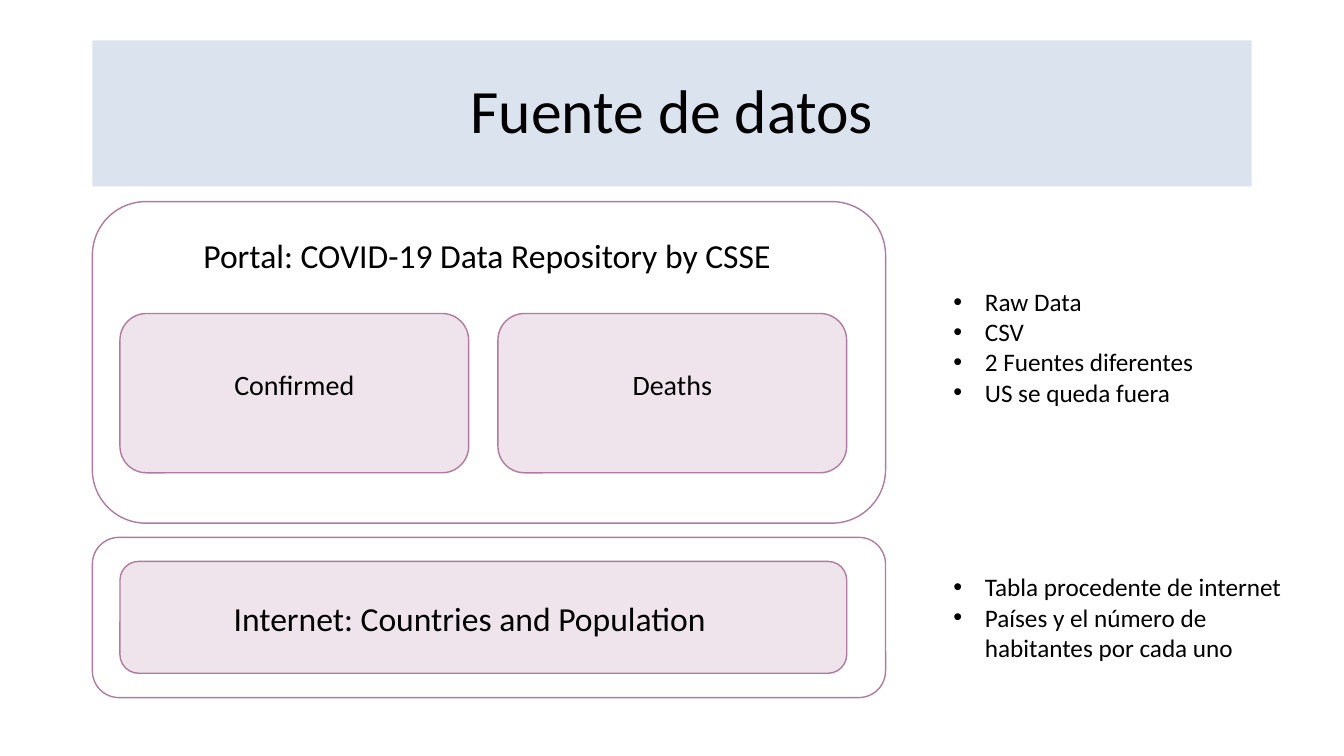
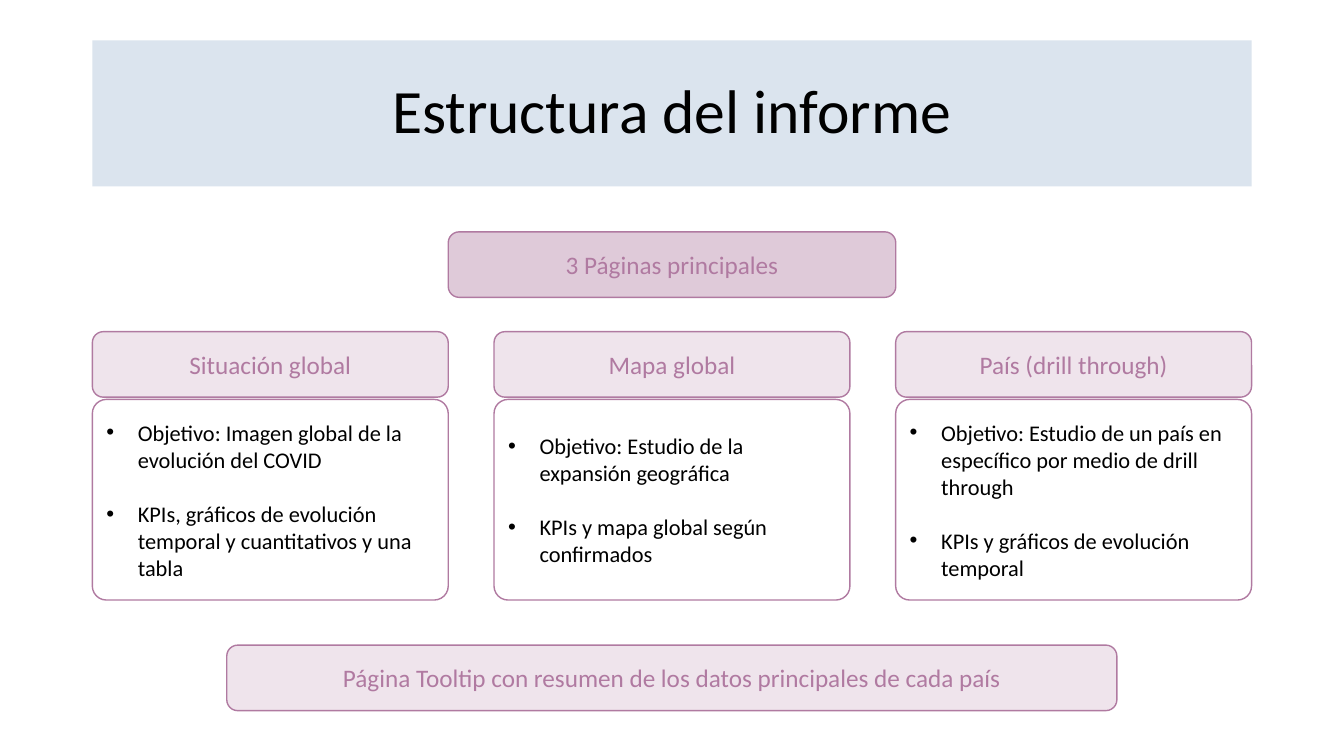
"""Build two slides on the data sources and the structure of a report."""
from dataclasses import dataclass

from lxml import etree
from pptx import Presentation
from pptx.dml.color import RGBColor
from pptx.enum.shapes import MSO_SHAPE
from pptx.enum.text import MSO_ANCHOR, MSO_AUTO_SIZE, PP_ALIGN
from pptx.oxml.ns import qn
from pptx.util import Pt

ROUNDED = MSO_SHAPE.ROUNDED_RECTANGLE
CENTER, LEFT = PP_ALIGN.CENTER, PP_ALIGN.LEFT
TOP, MIDDLE = MSO_ANCHOR.TOP, MSO_ANCHOR.MIDDLE
GROW, FIXED = MSO_AUTO_SIZE.SHAPE_TO_FIT_TEXT, MSO_AUTO_SIZE.NONE

COLORS = {
    "black": "000000",
    "band": "DBE4EE",
    "mauve": "B07AA1",
    "pale": "EFE4EC",
    "medium": "DFCAD9",
}
FONT = "Calibri"
BULLET_INDENT = 22.5
MARGIN, CONTENT_WIDTH = 66, 828
TITLE_LAYOUT = 5


@dataclass(frozen=True)
class Area:
    """Place and size in points."""

    left: float
    top: float
    width: float
    height: float

    def lengths(self) -> list:
        """Return the four values as lengths."""
        return [Pt(value) for value in (self.left, self.top, self.width, self.height)]


@dataclass(frozen=True)
class Style:
    """Look of a block of text."""

    size: float
    color: str = "black"
    align: PP_ALIGN = CENTER
    anchor: MSO_ANCHOR = MIDDLE
    wrap: bool = True
    fit: MSO_AUTO_SIZE = FIXED
    bullet: bool = False
    gap: float = 0
    spacing: float = 1.0


@dataclass(frozen=True)
class Column:
    """Heading and points of one report page."""

    heading: str
    points: tuple


TITLE = Style(44, spacing=0.9)
LABEL = Style(20, anchor=TOP, fit=GROW)
SOURCE = Style(24, align=LEFT, anchor=TOP, wrap=False, fit=GROW)
NOTES = Style(18, align=LEFT, anchor=TOP, fit=GROW, bullet=True)
HEADING = Style(18, color="mauve")
POINTS = Style(16, align=LEFT, bullet=True, gap=19.5)

TITLE_AREA = Area(MARGIN, 28.8, CONTENT_WIDTH, 104.4)
INNER_LEFT, INNER_WIDTH = 85.7, 519.1
CARD_WIDTH, CARD_HEIGHT = 249.1, 113.8
HEADING_HEIGHT = 46.8
COLUMN_WIDTH = 254.2

COLUMNS = (
    Column("Situación global", (
        "Objetivo: Imagen global de la evolución del COVID",
        "KPIs, gráficos de evolución temporal y cuantitativos y una tabla")),
    Column("Mapa global", (
        "Objetivo: Estudio de la expansión geográfica",
        "KPIs y mapa global según confirmados")),
    Column("País (drill through)", (
        "Objetivo: Estudio de un país en específico por medio de drill through",
        "KPIs y gráficos de evolución temporal")),
)


def rgb(name: str) -> RGBColor:
    """Return a named colour."""
    return RGBColor.from_string(COLORS[name])


def apply(target, values: dict) -> None:
    """Set each attribute of the target."""
    for name, value in values.items():
        setattr(target, name, value)


def add_bullet(para) -> None:
    """Give a paragraph a hanging round bullet."""
    properties = para._p.get_or_add_pPr()
    properties.set("marL", str(Pt(BULLET_INDENT)))
    properties.set("indent", str(-Pt(BULLET_INDENT)))
    etree.SubElement(properties, qn("a:buFont")).set("typeface", "Arial")
    etree.SubElement(properties, qn("a:buChar")).set("char", "•")


def write(box, lines: tuple, style: Style) -> None:
    """Write one paragraph per line in the given style."""
    frame = box.text_frame
    apply(frame, {"word_wrap": style.wrap, "auto_size": style.fit,
                  "vertical_anchor": style.anchor})
    for index, line in enumerate(lines):
        para = frame.add_paragraph() if index else frame.paragraphs[0]
        if style.bullet:
            add_bullet(para)
        apply(para, {"alignment": style.align, "line_spacing": style.spacing})
        if index and style.gap:
            para.space_before = Pt(style.gap)
        span = para.add_run()
        span.text = line
        apply(span.font, {"name": FONT, "size": Pt(style.size)})
        span.font.color.rgb = rgb(style.color)


def add_page(deck, title: str):
    """Add a slide with its title in the shared band."""
    page = deck.slides.add_slide(deck.slide_layouts[TITLE_LAYOUT])
    box = page.shapes.title
    apply(box, dict(zip(("left", "top", "width", "height"), TITLE_AREA.lengths())))
    box.fill.solid()
    box.fill.fore_color.rgb = rgb("band")
    write(box, (title,), TITLE)
    return page


def add_panel(page, area: Area, fill: str = "", radius: float = 0.1667):
    """Add an outlined rounded rectangle, unfilled by default."""
    panel = page.shapes.add_shape(ROUNDED, *area.lengths())
    panel.shadow.inherit = False
    panel.adjustments[0] = radius
    if fill:
        panel.fill.solid()
        panel.fill.fore_color.rgb = rgb(fill)
    else:
        panel.fill.background()
    panel.line.color.rgb = rgb("mauve")
    panel.line.width = Pt(1)
    return panel


def add_text(page, area: Area, lines: tuple, style: Style) -> None:
    """Add a text box."""
    write(page.shapes.add_textbox(*area.lengths()), lines, style)


def add_heading(page, left: float, top: float, width: float, text: str,
                fill: str = "pale") -> None:
    """Add a filled heading bar."""
    panel = add_panel(page, Area(left, top, width, HEADING_HEIGHT), fill)
    write(panel, (text,), HEADING)


def build_sources(deck) -> None:
    """Build the slide on data sources."""
    page = add_page(deck, "Fuente de datos")
    add_panel(page, Area(MARGIN, 144, 566.6, 229.7))
    add_panel(page, Area(MARGIN, 383.8, 566.6, 114.5))
    for index, label in enumerate(("Confirmed", "Deaths")):
        left = INNER_LEFT + index * (INNER_WIDTH - CARD_WIDTH)
        add_panel(page, Area(left, 223.9, CARD_WIDTH, CARD_HEIGHT), "pale")
        add_text(page, Area(left, 259.2, CARD_WIDTH, 31.5), (label,), LABEL)
    add_panel(page, Area(INNER_LEFT, 401, INNER_WIDTH, 79.9), "pale")
    add_text(page, Area(138.2, 164.2, 434.2, 36.4),
             ("Portal: COVID-19 Data Repository by CSSE",), SOURCE)
    add_text(page, Area(159.8, 423.4, 379.4, 36.4),
             ("Internet: Countries and Population",), SOURCE)
    add_text(page, Area(673.9, 200.9, 266.4, 94.3),
             ("Raw Data", "CSV", "2 Fuentes diferentes", "US se queda fuera"), NOTES)
    add_text(page, Area(673.9, 404.8, 266.4, 72.7),
             ("Tabla procedente de internet",
              "Países y el número de habitantes por cada uno"), NOTES)


def build_structure(deck) -> None:
    """Build the slide on the structure of the report."""
    page = add_page(deck, "Estructura del informe")
    add_heading(page, 320.2, 165.6, 319.7, "3 Páginas principales", "medium")
    pitch = (CONTENT_WIDTH - COLUMN_WIDTH) / (len(COLUMNS) - 1)
    for index, column in enumerate(COLUMNS):
        left = MARGIN + index * pitch
        add_heading(page, left, 236.9, COLUMN_WIDTH, column.heading)
        body = add_panel(page, Area(left, 285.3, COLUMN_WIDTH, 143.3), radius=0.07)
        write(body, column.points, POINTS)
    add_heading(page, 162, 460.8, 635.8,
                "Página Tooltip con resumen de los datos principales de cada país")


def main() -> None:
    """Build and save the deck."""
    deck = Presentation()
    apply(deck, {"slide_width": Pt(960), "slide_height": Pt(540)})
    build_sources(deck)
    build_structure(deck)
    deck.save("out.pptx")


if __name__ == "__main__":
    main()
